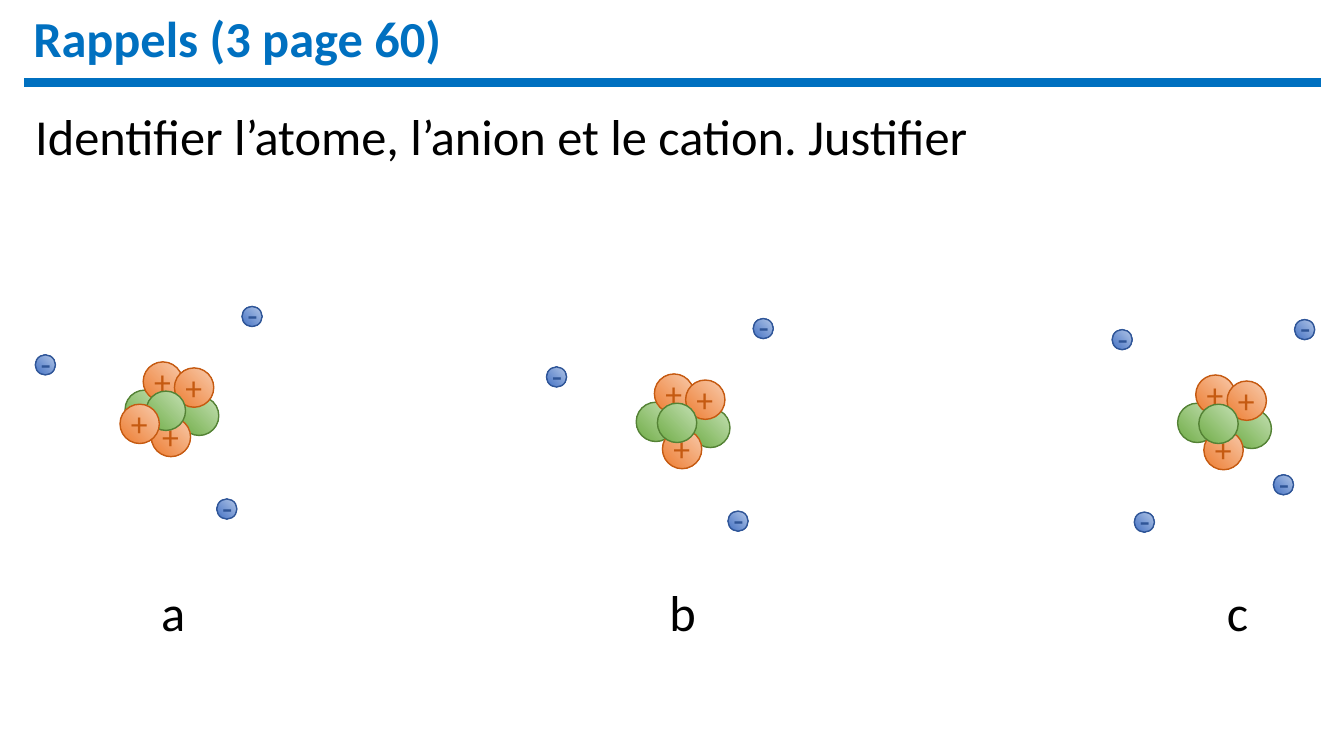
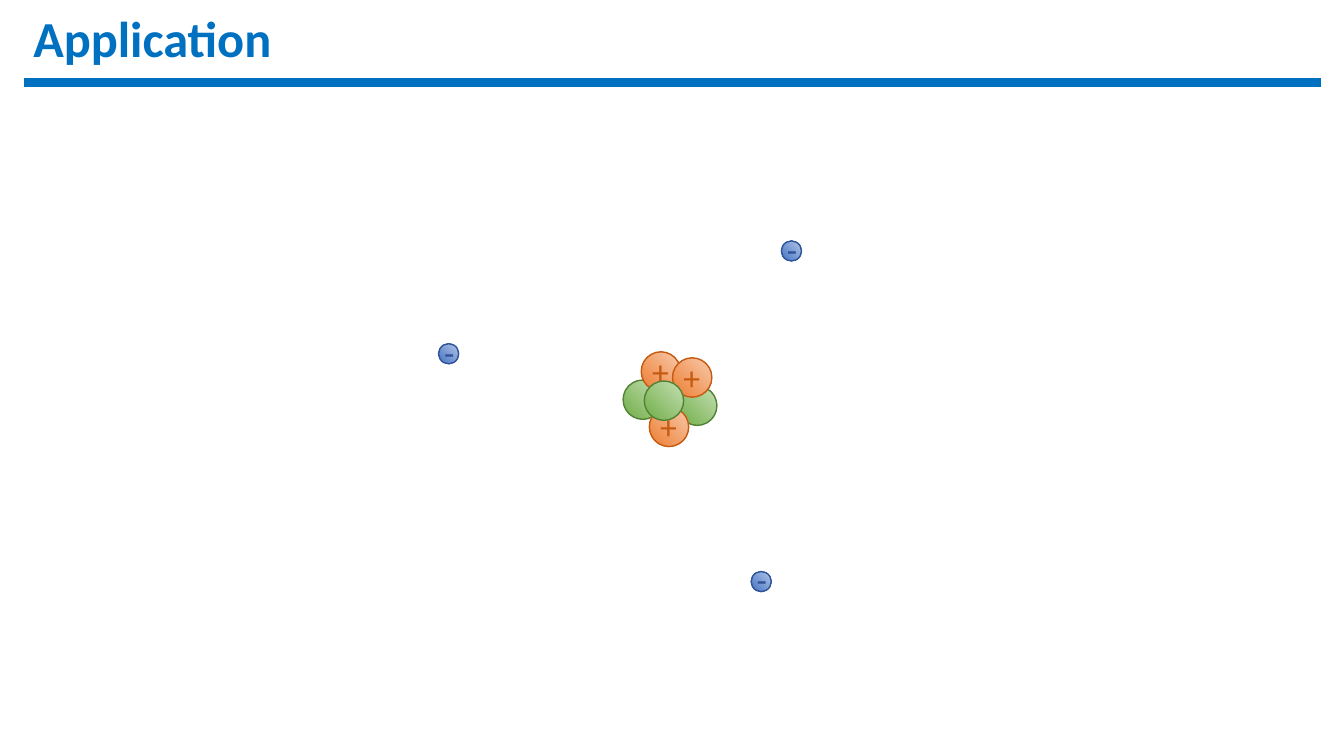
from lxml import etree
from pptx import Presentation
from pptx.dml.color import RGBColor
from pptx.enum.shapes import MSO_CONNECTOR, MSO_SHAPE
from pptx.enum.text import MSO_ANCHOR, MSO_AUTO_SIZE, PP_ALIGN
from pptx.oxml.ns import qn
from pptx.util import Inches, Pt

FONT = "Calibri"
BLUE, BLACK = "0070C0", "000000"

# Particles: diameter, light and dark gradient colours, outline,
# then the sign with its box (offset x, offset y, width)
PARTICLES = {
    "neutron": (0.39, "C5E0B4", "70AD47", "548235", None),
    "proton": (0.39, "F8CBAD", "ED7D31", "C55A11", ("+", 0.01, -0.06, 0.37)),
    "electron": (0.2, "B4C7E7", "4472C4", "2F5597", ("-", -0.05, -0.17, 0.31)),
}

# Nucleus shared by every atom, from back to front, relative to its origin
NUCLEUS = [
    ("neutron", 0, 0), ("neutron", 0.54, 0.06),
    ("proton", 0.18, -0.28), ("proton", 0.49, -0.22), ("proton", 0.26, 0.27),
    ("neutron", 0.21, 0.01),
]
EXTRA_PROTON = ("proton", -0.05, 0.14)
THREE_ELECTRONS = [(0.91, 1.08), (-0.89, -0.35), (1.16, -0.83)]
FOUR_ELECTRONS = [(-0.43, 1.08), (1.16, -0.83), (0.95, 0.71), (-0.65, -0.73)]
WIDE_ELECTRONS = [(1.27, 1.9), (-1.83, -0.36), (1.57, -1.38)]

# Atoms: origin, extra nucleons, electrons, label (text, left, width)
SLIDES = [
    {
        "title": "Rappels (3 page 60)",
        "question": "Identifier l’atome, l’anion et le cation. Justifier",
        "atoms": [
            ((1.24, 3.87), [EXTRA_PROTON], THREE_ELECTRONS, ("a", 1.5, 0.45)),
            ((6.31, 3.99), [], THREE_ELECTRONS, ("b", 6.54, 0.47)),
            ((11.68, 4), [], FOUR_ELECTRONS, ("c", 12.07, 0.42)),
        ],
    },
    {
        "title": "Application",
        "question": None,
        "atoms": [((6.18, 3.77), [], WIDE_ELECTRONS, None)],
    },
]


def rgb(value):
    return RGBColor.from_string(value)


def add_run(paragraph, text, size, color, bold=False):
    run = paragraph.add_run()
    run.text = text
    run.font.name, run.font.size, run.font.bold = FONT, Pt(size), bold
    run.font.color.rgb = rgb(color)


def add_text(shapes, box, text, size, color, wrap=False, align=PP_ALIGN.LEFT):
    frame = shapes.add_textbox(*map(Inches, box)).text_frame
    frame.word_wrap = wrap
    frame.auto_size = MSO_AUTO_SIZE.SHAPE_TO_FIT_TEXT
    frame.paragraphs[0].alignment = align
    add_run(frame.paragraphs[0], text, size, color)


def fill_radial(shape, light, dark):
    """Gradient spreading from the top right corner."""
    shape.fill.gradient()
    for stop, color, position in zip(shape.fill.gradient_stops, (light, dark), (0, 1)):
        stop.color.rgb = rgb(color)
        stop.position = position
    gradient = shape.element.spPr.find(qn("a:gradFill"))
    gradient.remove(gradient.find(qn("a:lin")))
    circle = etree.SubElement(gradient, qn("a:path"), {"path": "circle"})
    etree.SubElement(circle, qn("a:fillToRect"), {"l": "100000", "b": "100000"})


def add_particle(slide, kind, x, y):
    diameter, light, dark, outline, sign = PARTICLES[kind]
    shapes = slide.shapes.add_group_shape().shapes if sign else slide.shapes
    ball = shapes.add_shape(MSO_SHAPE.OVAL, *map(Inches, (x, y, diameter, diameter)))
    ball.shadow.inherit = False
    fill_radial(ball, light, dark)
    ball.line.color.rgb = rgb(outline)
    ball.line.width = Pt(1)
    if sign:
        text, dx, dy, width = sign
        align = PP_ALIGN.CENTER if kind == "electron" else PP_ALIGN.LEFT
        add_text(shapes, (x + dx, y + dy, width, 0.5), text, 24, outline, align=align)


def add_atom(slide, origin, extra, electrons, label):
    left, top = origin
    shell = [("electron", dx, dy) for dx, dy in electrons]
    for kind, dx, dy in NUCLEUS + extra + shell:
        add_particle(slide, kind, left + dx, top + dy)
    if label:
        text, x, width = label
        add_text(slide.shapes, (x, 5.72, width, 0.71), text, 36, BLACK)


def add_titled_slide(prs, text):
    slide = prs.slides.add_slide(prs.slide_layouts[5])
    title = slide.shapes.title
    title.left, title.top = Inches(0), Inches(0)
    title.width, title.height = prs.slide_width, Inches(0.82)
    frame = title.text_frame
    frame.auto_size = MSO_AUTO_SIZE.NONE
    frame.word_wrap = True
    frame.vertical_anchor = MSO_ANCHOR.MIDDLE
    frame.margin_left = Inches(0.33)
    heading = frame.paragraphs[0]
    heading.alignment, heading.line_spacing = PP_ALIGN.LEFT, 0.9
    add_run(heading, text, 36, BLUE, bold=True)
    # Rule under the title
    rule = slide.shapes.add_connector(
        MSO_CONNECTOR.STRAIGHT, *map(Inches, (0.24, 0.82, 13.1, 0.82)))
    rule.line.color.rgb = rgb(BLUE)
    rule.line.width = Pt(6)
    etree.SubElement(rule.element.spPr, qn("a:effectLst"))
    return slide


def main():
    prs = Presentation()
    prs.slide_width, prs.slide_height = Inches(13.33), Inches(7.5)
    for content in SLIDES:
        slide = add_titled_slide(prs, content["title"])
        if content["question"]:
            add_text(slide.shapes, (0.25, 0.99, 12.85, 0.71),
                     content["question"], 36, BLACK, wrap=True)
        for atom in content["atoms"]:
            add_atom(slide, *atom)
    prs.save("out.pptx")


if __name__ == "__main__":
    main()
